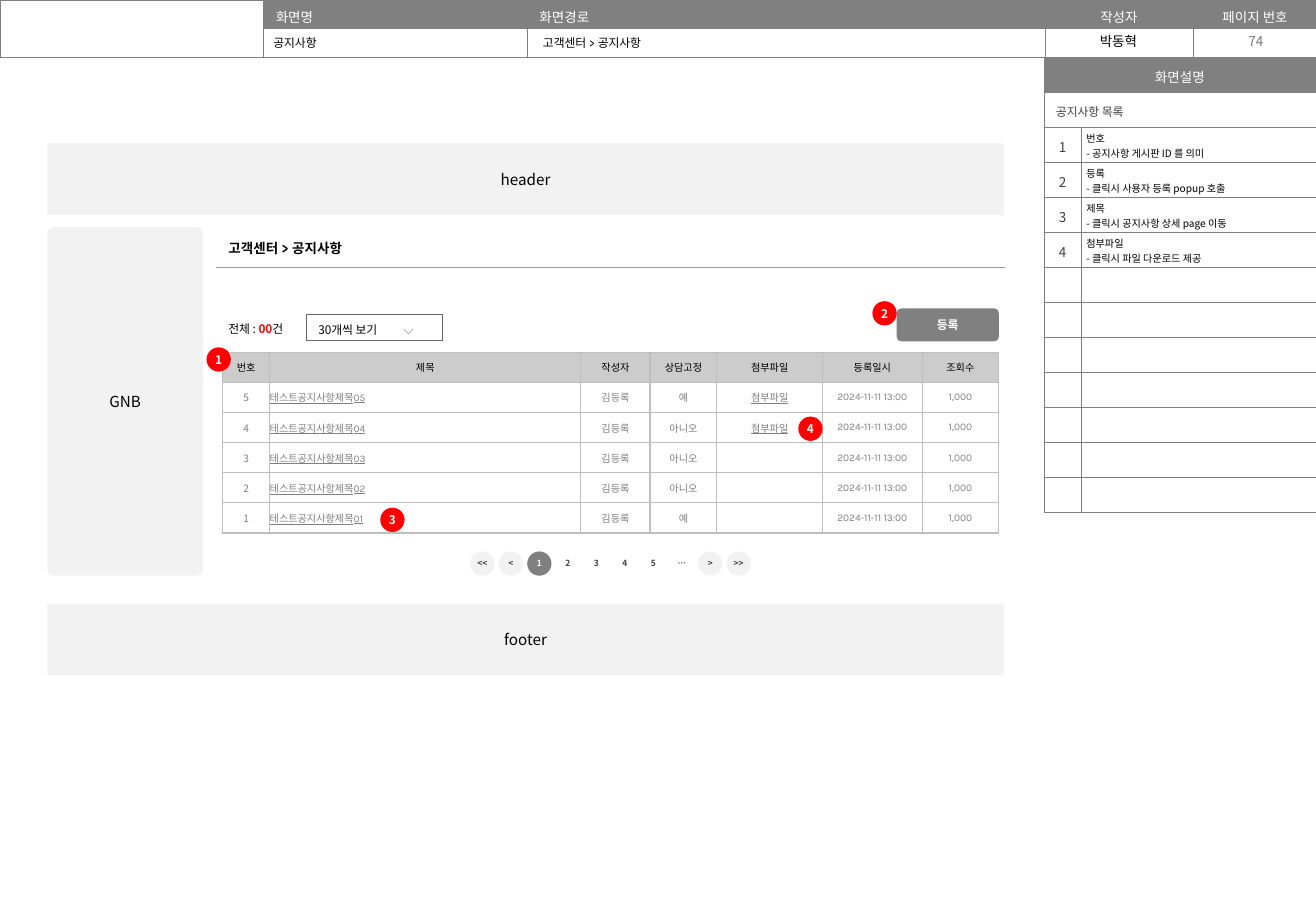
import pptx
import pptx.util
import pptx.dml.color
import pptx.enum.shapes
import pptx.enum.text
import pptx.oxml.ns
from lxml import etree

Inches = pptx.util.Inches
Pt = pptx.util.Pt
qn = pptx.oxml.ns.qn
ALIGN = pptx.enum.text.PP_ALIGN
MIDDLE = pptx.enum.text.MSO_ANCHOR.MIDDLE
TOP = pptx.enum.text.MSO_ANCHOR.TOP
COLORS = {
    "black": "000000", "white": "FFFFFF", "red": "FF0000", "dark": "404040",
    "gray": "808080", "page": "797979", "panel": "F2F2F2", "head": "CCCCCC",
    "grid": "BFBFBF", "rule": "999999", "box": "666666", "chevron": "7F7F7F",
}
RGB = {k: pptx.dml.color.RGBColor.from_string(v) for k, v in COLORS.items()}
NOTO = "Noto Sans CJK KR"
KARLA = "Karla"


def write(tf, text, size, color="black", align=ALIGN.LEFT, bold=False,
          underline=False, font=NOTO):
    tf.text = text
    for p in tf.paragraphs:
        p.alignment = align
        for r in p.runs:
            r.font.size = Pt(size)
            r.font.bold = bold
            r.font.underline = underline
            r.font.color.rgb = RGB[color]
            r.font.name = font
            etree.SubElement(r._r.get_or_add_rPr(), qn("a:ea"), typeface=NOTO)


def add_table(x, y, widths, rows, row_height, edge, line, margins, sides=None):
    """Add an unfilled table; sides names the drawn borders of each column."""
    frame = slide.shapes.add_table(rows, len(widths), Inches(x), Inches(y),
                                   Inches(sum(widths)), Inches(rows * row_height))
    table = frame.table
    table.first_row = table.horz_banding = False
    for row in table.rows:
        row.height = Inches(row_height)
    for i, width in enumerate(widths):
        table.columns[i].width = Inches(width)
        for row in table.rows:
            cell = row.cells[i]
            cell.vertical_anchor = MIDDLE
            (cell.margin_left, cell.margin_top, cell.margin_right,
             cell.margin_bottom) = [Inches(m) for m in margins]
            cell.text_frame.paragraphs[0]._p.get_or_add_endParaRPr().set("sz", "600")
            tcPr = cell._tc.get_or_add_tcPr()
            for side in "LRTB":
                ln = etree.SubElement(tcPr, qn("a:ln" + side), w=str(Pt(line)))
                if sides is None or side in sides[i]:
                    fill = etree.SubElement(ln, qn("a:solidFill"))
                    etree.SubElement(fill, qn("a:srgbClr"), val=COLORS[edge])
                else:
                    etree.SubElement(ln, qn("a:noFill"))
            cell.fill.background()
    return table


prs = pptx.Presentation()
prs.slide_width = Inches(10.83)
prs.slide_height = Inches(7.5)
slide = prs.slides.add_slide(prs.slide_layouts[5])

# Top information bar
info = add_table(0, 0, [2.17, 2.17, 4.26, 1.22, 1.02], 2, 0.235, "gray", 0.25,
                 (0.1, 0.04, 0.1, 0))
info.cell(0, 0).merge(info.cell(1, 0))
for i, label in enumerate(["화면명", "화면경로", "작성자", "페이지 번호"], 1):
    cell = info.cell(0, i)
    cell.fill.solid()
    cell.fill.fore_color.rgb = RGB["gray"]
    write(cell.text_frame, label, 8, "white", ALIGN.CENTER if i > 2 else ALIGN.LEFT)

title = slide.shapes.title
for x, y, w, h, text, size, color, align, font in [
    (2.15, 0.24, 2.22, 0.22, "공지사항", 7, "black", ALIGN.LEFT, KARLA),
    (4.37, 0.24, 4.21, 0.22, "고객센터 > 공지사항", 7, "black", ALIGN.LEFT, KARLA),
    (8.59, 0.22, 1.23, 0.24, "박동혁", 8, "black", ALIGN.CENTER, NOTO),
    (9.83, 0.22, 1.01, 0.24, "74", 8, "page", ALIGN.CENTER, NOTO),
]:
    sp = title if text == "공지사항" else slide.shapes.add_textbox(0, 0, 0, 0)
    sp.left, sp.top, sp.width, sp.height = [Inches(v) for v in (x, y, w, h)]
    tf = sp.text_frame
    tf.auto_size = pptx.enum.text.MSO_AUTO_SIZE.NONE
    tf.word_wrap = True
    tf.vertical_anchor = MIDDLE
    write(tf, text, size, color, align, font=font)

# Screen description
notes = [
    "번호\n- 공지사항 게시판 ID 를 의미",
    "등록\n- 클릭시 사용자 등록 popup 호출",
    "제목\n- 클릭시 공지사항 상세 page 이동",
    "첨부파일\n- 클릭시 파일 다운로드 제공",
]
desc = add_table(8.59, 0.47, [0.31, 1.93], 13, 3.75 / 13, "gray", 0.25,
                 (0.04, 0.03, 0.04, 0))
for i in range(2):
    desc.cell(i, 0).merge(desc.cell(i, 1))
desc.cell(0, 0).fill.solid()
desc.cell(0, 0).fill.fore_color.rgb = RGB["gray"]
write(desc.cell(0, 0).text_frame, "화면설명", 8, "white", ALIGN.CENTER)
desc.cell(1, 0).margin_left = Inches(0.1)
write(desc.cell(1, 0).text_frame, "공지사항 목록", 7, "dark")
for i, note in enumerate(notes, 1):
    write(desc.cell(i + 1, 0).text_frame, str(i), 8, "dark", ALIGN.CENTER)
    desc.cell(i + 1, 1).vertical_anchor = TOP
    write(desc.cell(i + 1, 1).text_frame, note, 6)

# Breadcrumb and list controls
crumb = add_table(1.78, 1.87, [3.24, 3.25], 1, 0.33, "rule", 0.75,
                  (0.1, 0.05, 0.1, 0.05), ["B", "B"])
write(crumb.cell(0, 0).text_frame, "고객센터 > 공지사항", 8, bold=True, font=KARLA)

controls = add_table(1.78, 2.59, [0.74, 1.12], 1, 0.21, "box", 0.75,
                     (0.1, 0.02, 0, 0), ["R", "LRTB"])
tf = controls.cell(0, 0).text_frame
p = tf.paragraphs[0]
for text in ["00", "건"]:
    p.add_run()
write(tf, "전체 : ", 7)
for text, color, bold in [("00", "red", True), ("건", "black", False)]:
    r = tf.paragraphs[0].add_run()
    r.text = text
    r.font.size = Pt(7)
    r.font.name = NOTO
    r.font.bold = bold
    r.font.color.rgb = RGB[color]
tf = controls.cell(0, 1).text_frame
write(tf, "30개씩 보기\t", 7)
p = tf.paragraphs[0]
tabs = etree.SubElement(p._p.get_or_add_pPr(), qn("a:tabLst"))
etree.SubElement(tabs, qn("a:tab"), pos=str(Inches(0.7)), algn="l")
r = p.add_run()
r.text = "⌵"
r.font.size = Pt(8)
r.font.name = NOTO
r.font.color.rgb = RGB["chevron"]

# Notice list
headers = ["번호", "제목", "작성자", "상담고정", "첨부파일", "등록일시", "조회수"]
notices = [(5, "예", "첨부파일"), (4, "아니오", "첨부파일"), (3, "아니오", ""),
           (2, "아니오", ""), (1, "예", "")]
rows = [headers] + [
    [str(n), f"테스트공지사항제목{n:02}", "김등록", pinned, attachment,
     "2024-11-11 13:00", "1,000"] for n, pinned, attachment in notices]
board = add_table(1.83, 2.9, [0.39, 2.56, 0.57, 0.55, 0.87, 0.82, 0.63], len(rows),
                  1.49 / len(rows), "grid", 0.75, (0, 0, 0, 0))
for i, row in enumerate(rows):
    for j, text in enumerate(row):
        cell = board.cell(i, j)
        cell.fill.solid()
        cell.fill.fore_color.rgb = RGB["white" if i else "head"]
        if text:
            write(cell.text_frame, text, 6, "gray" if i else "black",
                  ALIGN.LEFT if i and j == 1 else ALIGN.CENTER,
                  underline=i > 0 and j in (1, 4),
                  font=NOTO if i and j == 0 else KARLA)

# Panels, button, badges and page links: place, rounding, fill, text, size, colour, bold
blocks = [
    (0.39, 1.18, 7.87, 0.59, 0, "panel", "header", 9, "black", False),
    (0.39, 1.87, 1.28, 2.87, 0.04, "panel", "GNB", 9, "black", False),
    (0.39, 4.97, 7.87, 0.59, 0, "panel", "footer", 9, "black", False),
    (7.38, 2.54, 0.84, 0.27, 0.14, "gray", "등록", 7, "white", True),
]
badges = [(1.7, 2.86), (7.18, 2.48), (3.13, 4.18), (6.57, 3.43)]
for i, (x, y) in enumerate(badges, 1):
    blocks.append((x, y, 0.2, 0.2, 0.5, "red", str(i), 7, "white", True))
page_fills = {"<<": "panel", "<": "panel", "1": "gray", ">": "panel", ">>": "panel"}
for i, text in enumerate(["<<", "<", "1", "2", "3", "4", "5", "⋯", ">", ">>"]):
    blocks.append((3.87 + i * 2.11 / 9, 4.54, 0.2, 0.2, 0.5, page_fills.get(text),
                   text, 5, "white" if text == "1" else "dark", True))
for x, y, w, h, rounding, fill, text, size, color, bold in blocks:
    sp = slide.shapes.add_shape(pptx.enum.shapes.MSO_SHAPE.ROUNDED_RECTANGLE,
                                Inches(x), Inches(y), Inches(w), Inches(h))
    sp.adjustments[0] = rounding
    sp.shadow.inherit = False
    sp.line.fill.background()
    if fill:
        sp.fill.solid()
        sp.fill.fore_color.rgb = RGB[fill]
    else:
        sp.fill.background()
    tf = sp.text_frame
    tf.margin_left = tf.margin_right = tf.margin_top = tf.margin_bottom = 0
    tf.vertical_anchor = MIDDLE
    write(tf, text, size, color, ALIGN.CENTER, bold)

prs.save("out.pptx")
